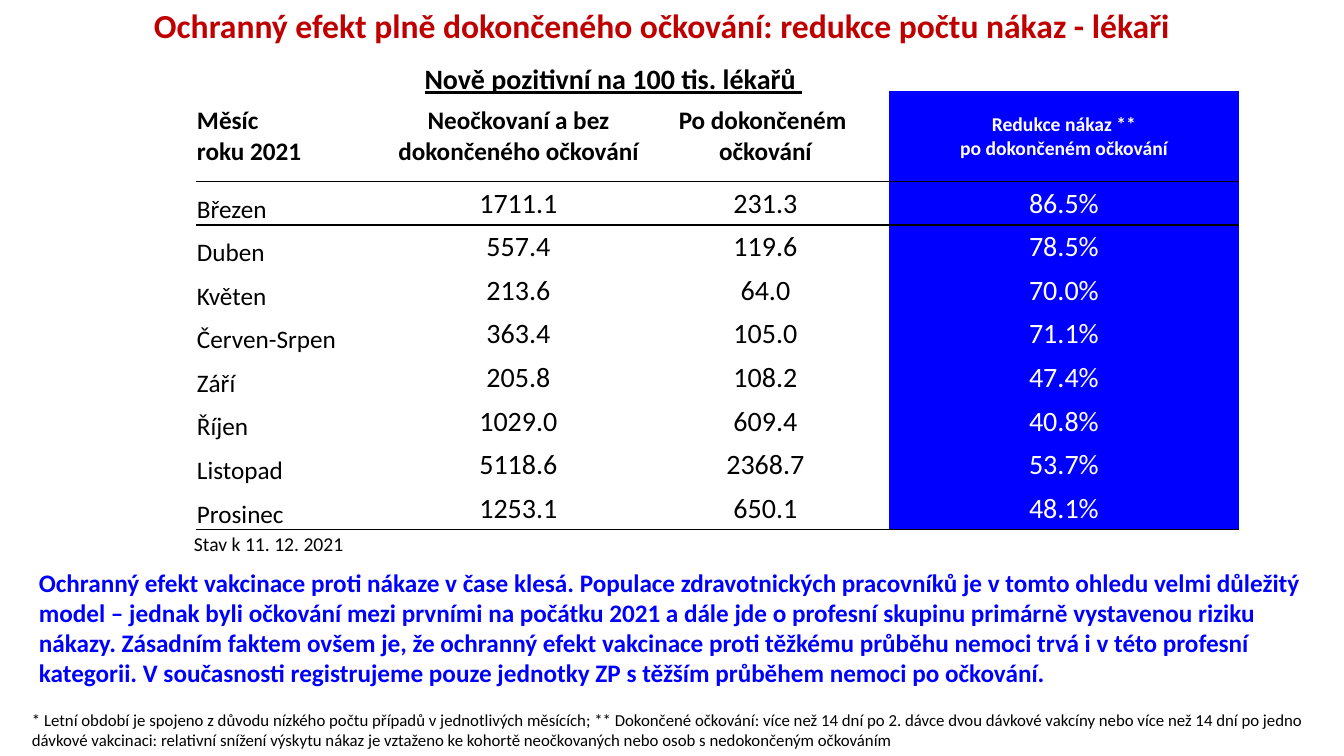
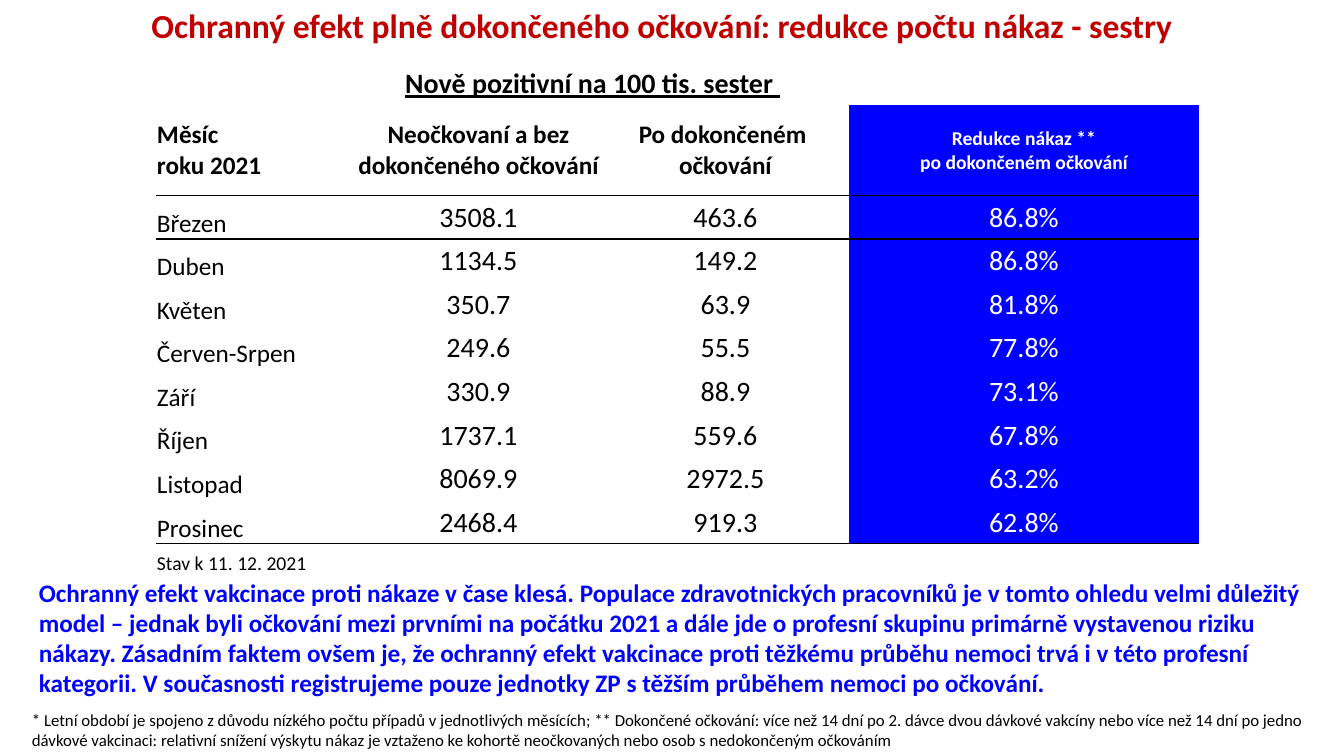
from lxml import etree
from pptx import Presentation
from pptx.dml.color import RGBColor
from pptx.enum.text import MSO_ANCHOR as Anchor, PP_ALIGN as Align
from pptx.oxml.ns import qn
from pptx.util import Pt

SCALE = 914400 / 100.8  # EMU in one px
WIDTH, HEIGHT = 1344, 756

RED = RGBColor(0xC0, 0x00, 0x00)
BLUE = RGBColor(0x00, 0x00, 0xFF)
BLACK = RGBColor(0x00, 0x00, 0x00)
WHITE = RGBColor(0xFF, 0xFF, 0xFF)

PLAIN_TABLE_STYLE = "{2D5ABB26-0587-4C30-8999-92F81FD0307C}"
COLUMN_WIDTHS = (199, 247, 247, 350)
TABLE_HEIGHT, HEADER_HEIGHT = 483, 91

TITLE = "Ochranný efekt plně dokončeného očkování: redukce počtu nákaz - "
SUBTITLE = "Nově pozitivní na 100 tis. "
STATUS = "Stav k 11. 12. 2021"
MESSAGE = (
    "Ochranný efekt vakcinace proti nákaze v čase klesá. Populace zdravotnických "
    "pracovníků je v tomto ohledu velmi důležitý model – jednak byli očkování mezi "
    "prvními na počátku 2021 a dále jde o profesní skupinu primárně vystavenou riziku "
    "nákazy. Zásadním faktem ovšem je, že ochranný efekt vakcinace proti těžkému "
    "průběhu nemoci trvá i v této profesní kategorii. V současnosti registrujeme pouze "
    "jednotky ZP s těžším průběhem nemoci po očkování."
)
FOOTNOTE = (
    "* Letní období je spojeno z důvodu nízkého počtu případů v jednotlivých měsících; "
    "** Dokončené očkování: více než 14 dní po 2. dávce dvou dávkové vakcíny nebo více "
    "než 14 dní po jedno dávkové vakcinaci: relativní snížení výskytu nákaz je vztaženo "
    "ke kohortě neočkovaných nebo osob s nedokončeným očkováním"
)
HEADERS = (
    ("Měsíc", "roku 2021"),
    ("Neočkovaní a bez dokončeného očkování",),
    ("Po dokončeném ", "očkování"),
    ("Redukce nákaz **", "po dokončeném očkování"),
)
MONTHS = ("Březen", "Duben", "Květen", "Červen-Srpen",
          "Září", "Říjen", "Listopad", "Prosinec")

# Places are (left, top) in px.
GROUPS = (
    dict(
        title="lékaři", subtitle="lékařů ",
        subtitle_at=(390, 57), table_at=(196, 47), status_at=(184, 527), message_top=562,
        unvaccinated=("1711.1", "557.4", "213.6", "363.4",
                      "205.8", "1029.0", "5118.6", "1253.1"),
        vaccinated=("231.3", "119.6", "64.0", "105.0",
                    "108.2", "609.4", "2368.7", "650.1"),
        reduction=("86.5%", "78.5%", "70.0%", "71.1%",
                   "47.4%", "40.8%", "53.7%", "48.1%"),
    ),
    dict(
        title="sestry", subtitle="sester ",
        subtitle_at=(369, 61), table_at=(156, 61), status_at=(147, 546), message_top=572,
        unvaccinated=("3508.1", "1134.5", "350.7", "249.6",
                      "330.9", "1737.1", "8069.9", "2468.4"),
        vaccinated=("463.6", "149.2", "63.9", "55.5",
                    "88.9", "559.6", "2972.5", "919.3"),
        reduction=("86.8%", "86.8%", "81.8%", "77.8%",
                   "73.1%", "67.8%", "63.2%", "62.8%"),
    ),
)


def emu(px):
    return round(px * SCALE)


class Deck:
    font = "Calibri"

    def __init__(self):
        self.prs = Presentation()
        self.prs.slide_width, self.prs.slide_height = emu(WIDTH), emu(HEIGHT)
        self.slide = None

    def new_slide(self):
        self.slide = self.prs.slides.add_slide(self.prs.slide_layouts[6])

    def add_lines(self, frame, lines, size, color=BLACK, bold=False, underline=False,
                  align=Align.LEFT):
        """Fill a text frame with one paragraph a line."""
        frame.word_wrap = True
        for i, line in enumerate(lines):
            paragraph = frame.add_paragraph() if i else frame.paragraphs[0]
            paragraph.alignment = align
            run = paragraph.add_run()
            run.text = line
            font = run.font
            font.name, font.size, font.bold = self.font, Pt(size), bold
            font.underline = underline
            font.color.rgb = color

    def text(self, left, top, width, height, content, size, **style):
        box = self.slide.shapes.add_textbox(*map(emu, (left, top, width, height)))
        self.add_lines(box.text_frame, [content], size, **style)
        return box.text_frame

    def title(self, content):
        frame = self.text(22, 4, 1280, 146, content, 24, color=RED, bold=True,
                          align=Align.CENTER)
        frame.paragraphs[0].line_spacing = 0.9

    def rule(self, cell, side):
        """Draw a thin black border on side T or B; call before setting the fill."""
        line = etree.SubElement(cell._tc.get_or_add_tcPr(), qn(f"a:ln{side}"), w=str(Pt(1)))
        fill = etree.SubElement(line, qn("a:solidFill"))
        etree.SubElement(fill, qn("a:srgbClr"), val=str(BLACK))

    def cell(self, cell, lines, column, header, ruled_sides):
        first, last = column == 0, column == len(COLUMN_WIDTHS) - 1
        cell.margin_left = cell.margin_right = cell.margin_top = emu(1)
        cell.margin_bottom = 0
        cell.vertical_anchor = Anchor.BOTTOM if first and not header else Anchor.MIDDLE
        for side in ruled_sides:
            self.rule(cell, side)
        if last:
            cell.fill.solid()
            cell.fill.fore_color.rgb = BLUE
        else:
            cell.fill.background()
        if header:
            size = 14 if last else 18
        else:
            size = 18 if first else 20
        self.add_lines(cell.text_frame, lines, size, color=WHITE if last else BLACK,
                       bold=header, align=Align.LEFT if first else Align.CENTER)

    def table(self, left, top, rows):
        """Lay out an empty top row, the header row and the months."""
        count = len(rows) + 1
        table = self.slide.shapes.add_table(
            count, len(COLUMN_WIDTHS), emu(left), emu(top),
            emu(sum(COLUMN_WIDTHS)), emu(TABLE_HEIGHT)).table
        table.first_row = table.horz_banding = False
        table._tbl.tblPr.find(qn("a:tableStyleId")).text = PLAIN_TABLE_STYLE
        for column, width in zip(table.columns, COLUMN_WIDTHS):
            column.width = emu(width)
        for row in table.rows:
            row.height = emu((TABLE_HEIGHT - HEADER_HEIGHT) / (count - 1))
        table.rows[1].height = emu(HEADER_HEIGHT)
        for column in range(len(COLUMN_WIDTHS)):
            table.cell(0, column).fill.background()
        table.cell(0, 2).merge(table.cell(0, 3))

        ruled = {1: "B", 2: "T", count - 1: "B"}
        for r, row in enumerate(rows, start=1):
            for c, lines in enumerate(row):
                self.cell(table.cell(r, c), lines, c, r == 1, ruled.get(r, ""))


def main():
    deck = Deck()
    for group in GROUPS:
        deck.new_slide()
        deck.title(TITLE + group["title"])
        deck.text(*group["subtitle_at"], 447, 44, SUBTITLE + group["subtitle"], 20,
                  bold=True, underline=True, align=Align.CENTER)
        deck.text(22, 705, 1309, 50, FOOTNOTE, 12)
        months = zip(MONTHS, group["unvaccinated"], group["vaccinated"], group["reduction"])
        deck.table(*group["table_at"],
                   [HEADERS] + [[(value,) for value in month] for month in months])
        deck.text(*group["status_at"], 223, 34, STATUS, 14)
        deck.text(29, group["message_top"], 1297, 132, MESSAGE, 18, color=BLUE, bold=True)
    deck.prs.save("out.pptx")


if __name__ == "__main__":
    main()
